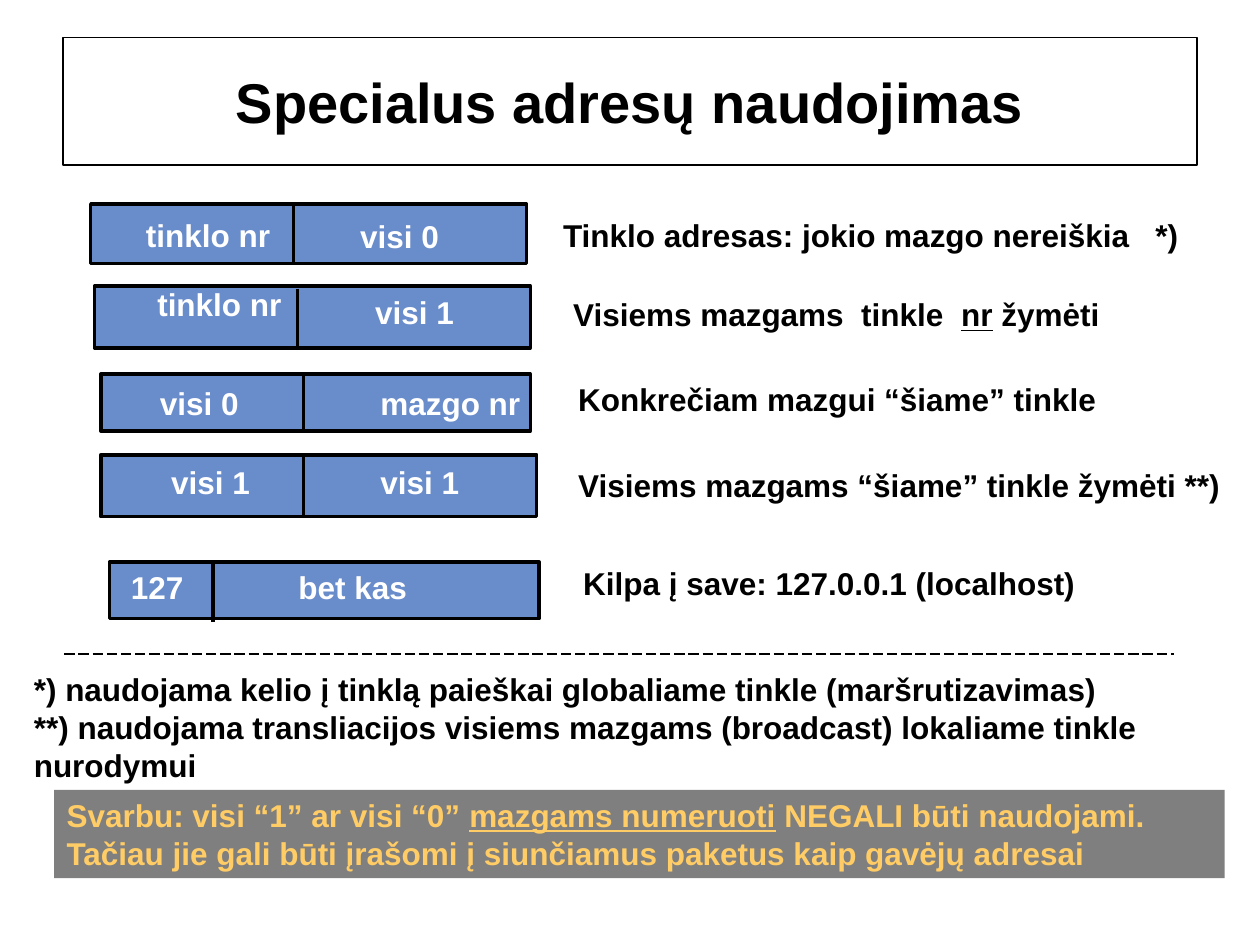
"""Build a slide on the special uses of network addresses."""
from lxml import etree
from pptx import Presentation
from pptx.dml.color import RGBColor
from pptx.enum.dml import MSO_LINE
from pptx.enum.shapes import MSO_CONNECTOR, MSO_SHAPE
from pptx.enum.text import MSO_ANCHOR, MSO_AUTO_SIZE, PP_ALIGN
from pptx.oxml.ns import qn
from pptx.util import Inches, Pt

RECTANGLE = MSO_SHAPE.RECTANGLE
STRAIGHT = MSO_CONNECTOR.STRAIGHT
LONG_DASH = MSO_LINE.LONG_DASH
FIT_SHAPE = MSO_AUTO_SIZE.SHAPE_TO_FIT_TEXT
TOP, MIDDLE = MSO_ANCHOR.TOP, MSO_ANCHOR.MIDDLE
LEFT, CENTER = PP_ALIGN.LEFT, PP_ALIGN.CENTER

BLACK = RGBColor(0x00, 0x00, 0x00)
WHITE = RGBColor(0xFF, 0xFF, 0xFF)
BLUE = RGBColor(0x69, 0x8C, 0xCB)
GOLD = RGBColor(0xFF, 0xCC, 0x66)

FONT = "Arial"
LABEL_HEIGHT = 0.37
DIVIDER_HEIGHT = 0.48

ADDRESS_ROWS = [
    ((0.72, 1.62, 3.46, 0.47), (2.33, 1.62),
     [(1.06, 1.7, 1.19, "tinklo nr"), (2.76, 1.71, 0.83, "visi 0")],
     (4.37, 1.7, 5.09, "Tinklo adresas: jokio mazgo nereiškia   *)")),
    ((0.75, 2.27, 3.46, 0.49), (2.36, 2.29),
     [(1.15, 2.25, 1.19, "tinklo nr"), (2.88, 2.31, 0.83, "visi 1")],
     (4.45, 2.33, 4.38, "Visiems mazgams  tinkle  _nr_ žymėti")),
    ((0.8, 2.97, 3.41, 0.45), (2.41, 2.96),
     [(1.17, 3.03, 0.83, "visi 0"), (2.92, 3.03, 1.31, "mazgo nr")],
     (4.49, 3, 4.32, "Konkrečiam mazgui “šiame” tinkle")),
    ((0.8, 3.61, 3.46, 0.49), (2.41, 3.63),
     [(1.26, 3.66, 0.83, "visi 1"), (2.92, 3.66, 0.83, "visi 1")],
     (4.49, 3.68, 5.3, "Visiems mazgams “šiame” tinkle žymėti **)")),
    ((0.87, 4.46, 3.41, 0.45), (1.69, 4.46),
     [(0.94, 4.49, 0.62, "127"), (2.27, 4.49, 1.06, "bet kas")],
     (4.53, 4.46, 4.11, "Kilpa į save: 127.0.0.1 (localhost)")),
]
FOOTNOTES = [
    "*) naudojama kelio į tinklą paieškai globaliame tinkle (maršrutizavimas)",
    "**) naudojama transliacijos visiems mazgams (broadcast) lokaliame tinkle",
    "nurodymui",
]
WARNING = (
    "Svarbu: visi “1” ar visi “0” _mazgams numeruoti_ NEGALI būti naudojami. "
    "Tačiau jie gali būti įrašomi į siunčiamus paketus kaip gavėjų adresai"
)


class SlideBuilder:
    """Draws styled elements on the current slide."""

    def __init__(self, page):
        """Keep the slide to draw on."""
        self.page = page

    def set_text(self, shape, lines, color, size=18, align=LEFT, spacing=None):
        """Fill a shape with bold lines; text between underscores is underlined."""
        frame = shape.text_frame
        for index, line in enumerate(lines):
            para = frame.add_paragraph() if index else frame.paragraphs[0]
            para.alignment = align
            if spacing:
                para.line_spacing = spacing
            para.font.name, para.font.size, para.font.bold = FONT, Pt(size), True
            para.font.color.rgb = color
            for number, text in enumerate(line.split("_")):
                span = para.add_run()
                span.text = text
                if number % 2:
                    span.font.underline = True

    def rectangle(self, left, top, width, height, fill=None, line=None):
        """Add a rectangle with an optional fill colour and line width."""
        box = self.page.shapes.add_shape(
            RECTANGLE, Inches(left), Inches(top), Inches(width), Inches(height))
        box.shadow.inherit = False
        if fill is None:
            box.fill.background()
        else:
            box.fill.solid()
            box.fill.fore_color.rgb = fill
        if line is None:
            box.line.fill.background()
        else:
            box.line.color.rgb = BLACK
            box.line.width = Pt(line)
        return box

    def title(self, left, top, width, height, text):
        """Add the framed title."""
        box = self.rectangle(left, top, width, height, line=0.75)
        box.text_frame.vertical_anchor = MIDDLE
        box.text_frame.word_wrap = True
        self.set_text(box, [text], BLACK, 32, CENTER)

    def text(self, left, top, width, lines, color=BLACK, height=LABEL_HEIGHT, spacing=0.9):
        """Add an unwrapped text box."""
        box = self.page.shapes.add_textbox(
            Inches(left), Inches(top), Inches(width), Inches(height))
        box.text_frame.word_wrap = False
        box.text_frame.auto_size = FIT_SHAPE
        self.set_text(box, lines, color, spacing=spacing)

    def line(self, start, end, width, dash=None):
        """Add a straight black line."""
        rule = self.page.shapes.add_connector(
            STRAIGHT, *(Inches(value) for value in (*start, *end)))
        rule.line.color.rgb = BLACK
        rule.line.width = Pt(width)
        if dash:
            rule.line.dash_style = dash
        etree.SubElement(rule.element.spPr, qn("a:effectLst"))

    def banner(self, left, top, width, height, text):
        """Add a half-transparent black banner with text."""
        box = self.rectangle(left, top, width, height, fill=BLACK)
        color = box.element.spPr.find(qn("a:solidFill"))[0]
        etree.SubElement(color, qn("a:alpha"), val="50000")
        box.text_frame.vertical_anchor = TOP
        box.text_frame.word_wrap = True
        box.text_frame.auto_size = FIT_SHAPE
        self.set_text(box, [text], GOLD)

    def address_row(self, bar, divider, fields, meaning):
        """Add a divided address bar, its field labels and its meaning."""
        self.rectangle(*bar, fill=BLUE, line=2)
        left, top = divider
        self.line(divider, (left, top + DIVIDER_HEIGHT), 2)
        for *place, label in fields:
            self.text(*place, [label], WHITE)
        *place, label = meaning
        self.text(*place, [label])


def main():
    """Build and save the deck."""
    deck = Presentation()
    deck.slide_width, deck.slide_height = Inches(10), Inches(7.5)
    builder = SlideBuilder(deck.slides.add_slide(deck.slide_layouts[6]))
    builder.title(0.5, 0.3, 9, 1.01, "Specialus adresų naudojimas")
    for row in ADDRESS_ROWS:
        builder.address_row(*row)
    builder.line((0.51, 5.19), (9.32, 5.19), 0.75, LONG_DASH)
    builder.text(0.17, 5.27, 9.02, FOOTNOTES, height=1, spacing=None)
    builder.banner(0.43, 6.27, 9.29, 0.7, WARNING)
    deck.save("out.pptx")


if __name__ == "__main__":
    main()
